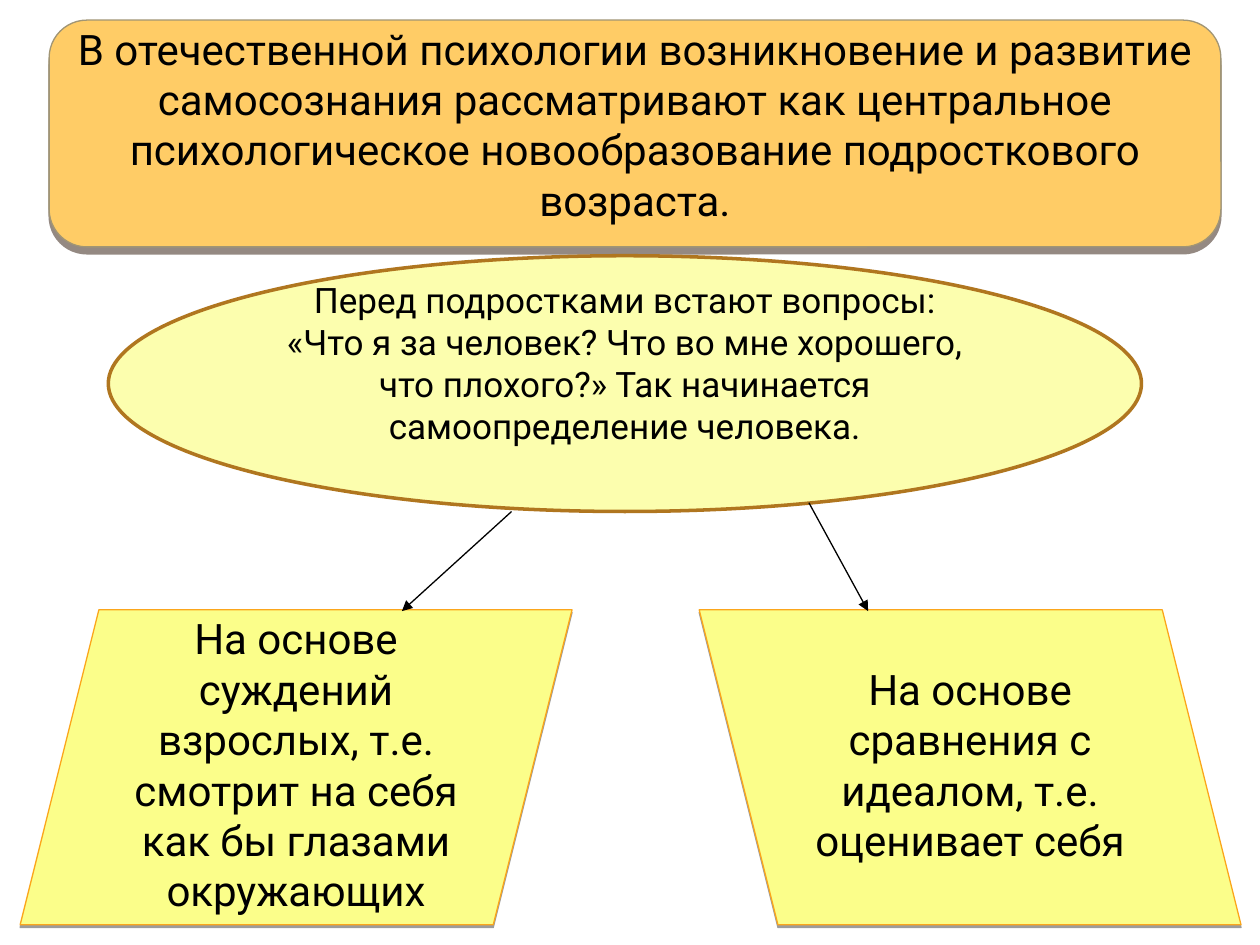
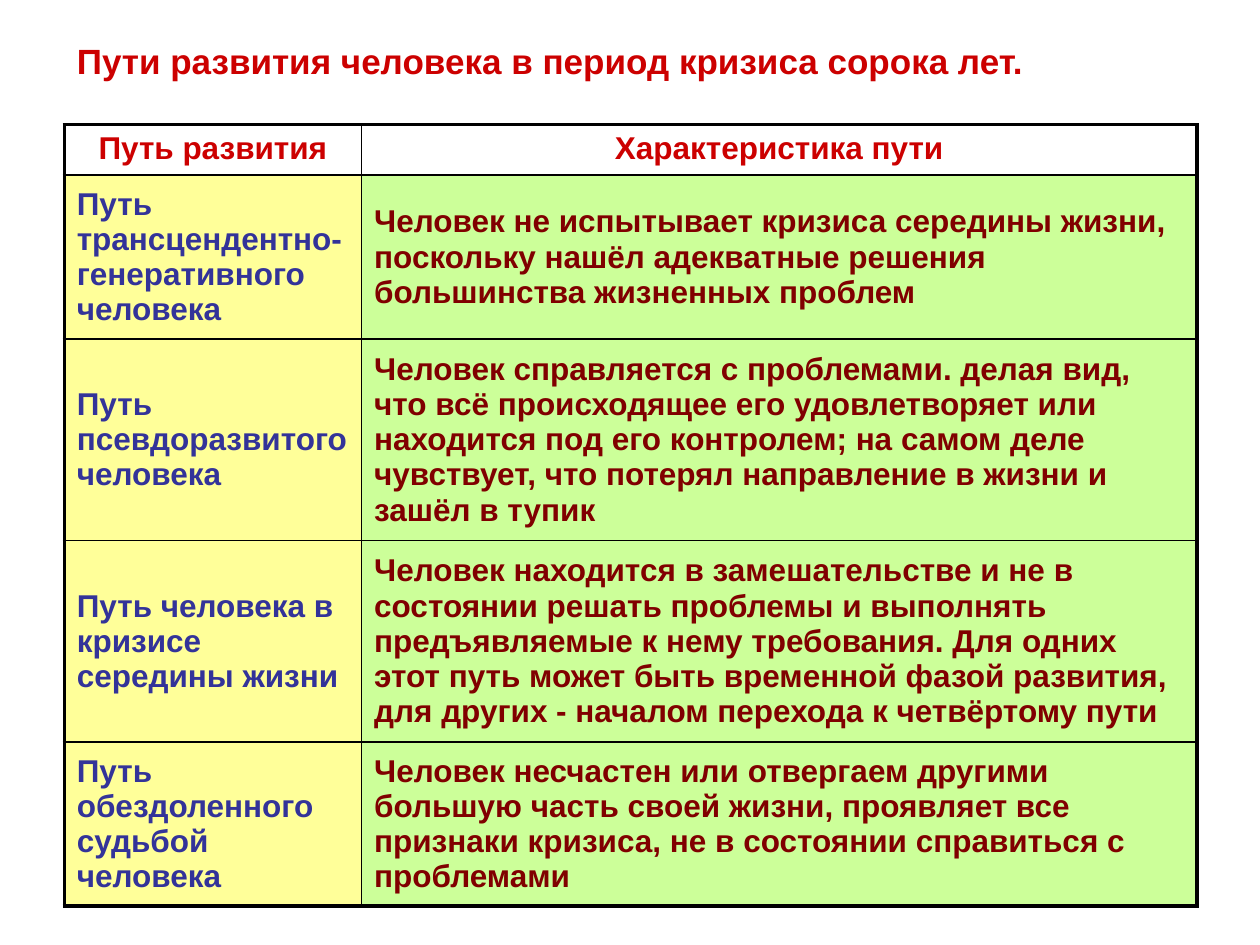
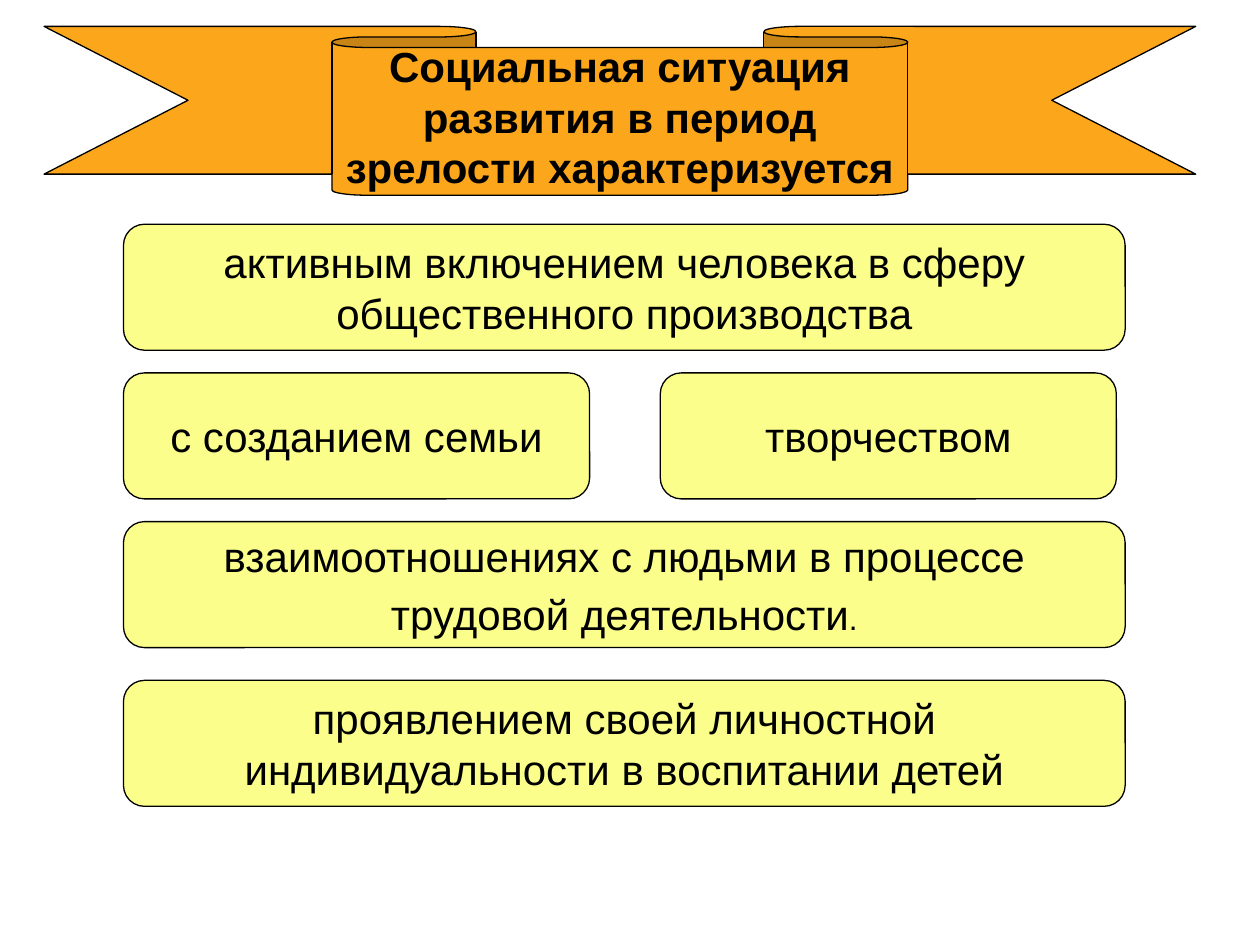
from dataclasses import dataclass
from lxml.etree import SubElement
from pptx import Presentation
from pptx.dml.color import RGBColor
from pptx.enum.shapes import MSO_CONNECTOR, MSO_SHAPE
from pptx.enum.text import MSO_ANCHOR, PP_ALIGN
from pptx.oxml.ns import qn
from pptx.util import Inches, Pt


@dataclass(frozen=True)
class Theme:
    black: str = "000000"
    white: str = "FFFFFF"
    red: str = "CC0000"
    blue: str = "333399"
    brown: str = "800000"
    peach: str = "FFCC66"
    cream: str = "FCFEAE"
    lemon: str = "FBFE8A"
    orange: str = "FBA61B"
    yellow: str = "FFFF99"
    green: str = "CCFF99"
    tan: str = "A19574"
    bronze: str = "B0761F"
    umber: str = "4E3B30"
    sans: str = "Arial"
    soft: str = "Roboto"
    big: int = 24
    mid: int = 20
    cell: int = 18
    thin: float = 0.75
    rule: float = 1
    frame: float = 2.25


T = Theme()

ROWS = [
    ("Путь развития", "Характеристика пути"),
    ("Путь трансцендентно-генеративного человека",
     "Человек не испытывает кризиса середины жизни, поскольку нашёл "
     "адекватные решения большинства жизненных проблем"),
    ("Путь псевдоразвитого человека",
     "Человек справляется с проблемами. делая вид, что всё происходящее его "
     "удовлетворяет или находится под его контролем; на самом деле чувствует, "
     "что потерял направление в жизни и зашёл в тупик"),
    ("Путь человека в кризисе середины жизни",
     "Человек находится в замешательстве и не в состоянии решать проблемы и "
     "выполнять предъявляемые к нему требования. Для одних этот путь может "
     "быть временной фазой развития, для других - началом перехода к "
     "четвёртому пути"),
    ("Путь обездоленного судьбой человека",
     "Человек несчастен или отвергаем другими большую часть своей жизни, "
     "проявляет все признаки кризиса, не в состоянии справиться с проблемами"),
]


# Shared helpers
def rgb(code):
    return RGBColor.from_string(code)


def apply(item, **vals):
    for key, val in vals.items():
        setattr(item, key, val)


def add_run(par, text, size, face=T.sans, bold=False, ink=T.black):
    run = par.add_run()
    run.text = text
    apply(run.font, name=face, size=Pt(size), bold=bold)
    run.font.color.rgb = rgb(ink)


def write(frame, lines, size, align=PP_ALIGN.CENTER, gap=0, **font):
    for num, line in enumerate(lines):
        par = frame.add_paragraph() if num else frame.paragraphs[0]
        par.alignment = align
        if num and gap:
            par.space_before = Pt(gap)
        add_run(par, line, size, **font)


def stroke(line, ink, width):
    line.color.rgb = rgb(ink)
    line.width = Pt(width)


def add_box(slide, kind, at, lines, fill=T.lemon, edge=T.black, width=T.thin,
            size=T.big, wrap=False, foot=0.05, **font):
    box = slide.shapes.add_shape(kind, *map(Inches, at))
    box.shadow.inherit = False
    box.fill.solid()
    box.fill.fore_color.rgb = rgb(fill)
    stroke(box.line, edge, width)
    frame = box.text_frame
    apply(frame, word_wrap=wrap, vertical_anchor=MSO_ANCHOR.MIDDLE,
          margin_top=Inches(0.05), margin_bottom=Inches(foot))
    write(frame, lines, size, **font)
    return box


def add_shade(box, ink, alpha, drop):
    effects = box._element.spPr.find(qn("a:effectLst"))
    shade = SubElement(effects, qn("a:outerShdw"), blurRad="0",
                       dist=str(Pt(drop)), dir="5400000", rotWithShape="0")
    color = SubElement(shade, qn("a:srgbClr"), val=ink)
    SubElement(color, qn("a:alpha"), val=str(alpha * 1000))


def add_arrow(slide, start, end):
    arrow = slide.shapes.add_connector(
        MSO_CONNECTOR.STRAIGHT, *map(Inches, start + end))
    stroke(arrow.line, T.black, T.thin)
    SubElement(arrow.line._get_or_add_ln(), qn("a:tailEnd"), type="triangle")
    SubElement(arrow._element.spPr, qn("a:effectLst"))


def add_title(slide, text):
    title = slide.shapes.title
    apply(title, left=Inches(0.51), top=Inches(0),
          width=Inches(9), height=Inches(0.61))
    frame = title.text_frame
    apply(frame, word_wrap=True, vertical_anchor=MSO_ANCHOR.MIDDLE,
          margin_top=Inches(0.4), margin_bottom=Inches(0.05))
    write(frame, [text], T.mid, PP_ALIGN.LEFT, bold=True, ink=T.red)


def edge_cell(cell, sides):
    props = cell._tc.get_or_add_tcPr()
    for num, (side, width) in enumerate(sides.items()):
        line = SubElement(props, qn(f"a:ln{side}"), w=str(Pt(width)))
        fill = SubElement(line, qn("a:solidFill"))
        SubElement(fill, qn("a:srgbClr"), val=T.black)
        props.insert(num, line)


def add_grid(slide, at, rows, widths, heights):
    grid = slide.shapes.add_table(
        len(rows), len(widths), *map(Inches, at),
        Inches(sum(widths)), Inches(sum(heights))).table
    apply(grid, first_row=False, horz_banding=False)
    for col, width in zip(grid.columns, widths):
        col.width = Inches(width)
    for row, height in zip(grid.rows, heights):
        row.height = Inches(height)
    looks = [(T.yellow, T.blue), (T.green, T.brown)]
    for r, texts in enumerate(rows):
        for c, text in enumerate(texts):
            cell = grid.cell(r, c)
            fill, ink = looks[c] if r else (T.white, T.red)
            cell.fill.solid()
            cell.fill.fore_color.rgb = rgb(fill)
            cell.vertical_anchor = MSO_ANCHOR.MIDDLE if r else MSO_ANCHOR.TOP
            write(cell.text_frame, [text], T.cell,
                  PP_ALIGN.LEFT if r else PP_ALIGN.CENTER, bold=True, ink=ink)
            outer = {"L": c == 0, "R": c == len(widths) - 1,
                     "T": r == 0, "B": r == len(rows) - 1}
            edge_cell(cell, {side: T.frame if out else T.rule
                             for side, out in outer.items()})


# Slides
def teen_slide(slide):
    look = dict(wrap=True, face=T.soft)
    head = add_box(
        slide, MSO_SHAPE.ROUNDED_RECTANGLE, (0.39, 0.16, 9.3, 1.8),
        ["В отечественной психологии возникновение и развитие самосознания "
         "рассматривают как центральное психологическое новообразование "
         "подросткового возраста."],
        fill=T.peach, edge=T.tan, foot=0.2, **look)
    add_shade(head, T.umber, 60, 4)
    add_box(
        slide, MSO_SHAPE.OVAL, (0.86, 2.03, 8.2, 2.03),
        ["Перед подростками встают вопросы: «Что я за человек? Что во мне "
         "хорошего, что плохого?» Так начинается самоопределение человека."],
        fill=T.cream, edge=T.bronze, width=2, size=T.mid, foot=0.38, **look)

    # Two grounds for judging oneself
    bases = [
        (0.16, 4.38, "На основе суждений взрослых, т.е. смотрит на себя "
                     "как бы глазами окружающих"),
        (5.55, 4.3, "На основе сравнения с идеалом, т.е. оценивает себя"),
    ]
    for left, width, text in bases:
        base = add_box(slide, MSO_SHAPE.PARALLELOGRAM,
                       (left, 4.84, width, 2.5), [text],
                       edge=T.orange, foot=0.1, **look)
        add_shade(base, T.black, 38, 1.6)
    base._element.spPr.xfrm.set("flipH", "1")
    add_arrow(slide, (4.06, 4.06), (3.19, 4.85))
    add_arrow(slide, (6.42, 3.99), (6.89, 4.85))


def path_slide(slide):
    add_title(slide, "Пути развития человека в период кризиса сорока лет.")
    add_grid(slide, (0.51, 0.99), ROWS, (2.36, 6.63),
             (0.4, 1.3, 1.6, 1.6, 1.3))


def adult_slide(slide):
    ribbon = add_box(
        slide, MSO_SHAPE.DOWN_RIBBON, (0.35, 0.21, 9.14, 1.34),
        ["Социальная ситуация", "развития в период",
         "зрелости характеризуется"], fill=T.orange, foot=0.13, bold=True)
    ribbon.adjustments[0], ribbon.adjustments[1] = 0.125, 0.5

    # Traits of the mature years
    left, full = 0.98, 7.95
    traits = [
        (left, 1.78, full, ["активным включением человека в сферу",
                            "общественного производства"], 0),
        (left, 2.96, 3.7, ["с созданием семьи"], 0),
        (5.24, 2.96, 3.62, ["творчеством"], 0),
        (left, 5.4, full, ["проявлением своей личностной",
                           "индивидуальности в воспитании детей"], 0),
        (left, 4.14, full, ["взаимоотношениях с людьми в процессе",
                            "трудовой деятельности"], 4.5),
    ]
    for x, y, width, lines, gap in traits:
        box = add_box(slide, MSO_SHAPE.ROUNDED_RECTANGLE,
                      (x, y, width, 1), lines, gap=gap)
    add_run(box.text_frame.paragraphs[-1], ".", T.cell)


def main():
    deck = Presentation()
    apply(deck, slide_width=Inches(10), slide_height=Inches(7.5))
    titled, blank = deck.slide_layouts[5], deck.slide_layouts[6]
    plan = [(blank, teen_slide), (titled, path_slide), (blank, adult_slide)]
    for layout, build in plan:
        build(deck.slides.add_slide(layout))
    deck.save("out.pptx")


if __name__ == "__main__":
    main()
